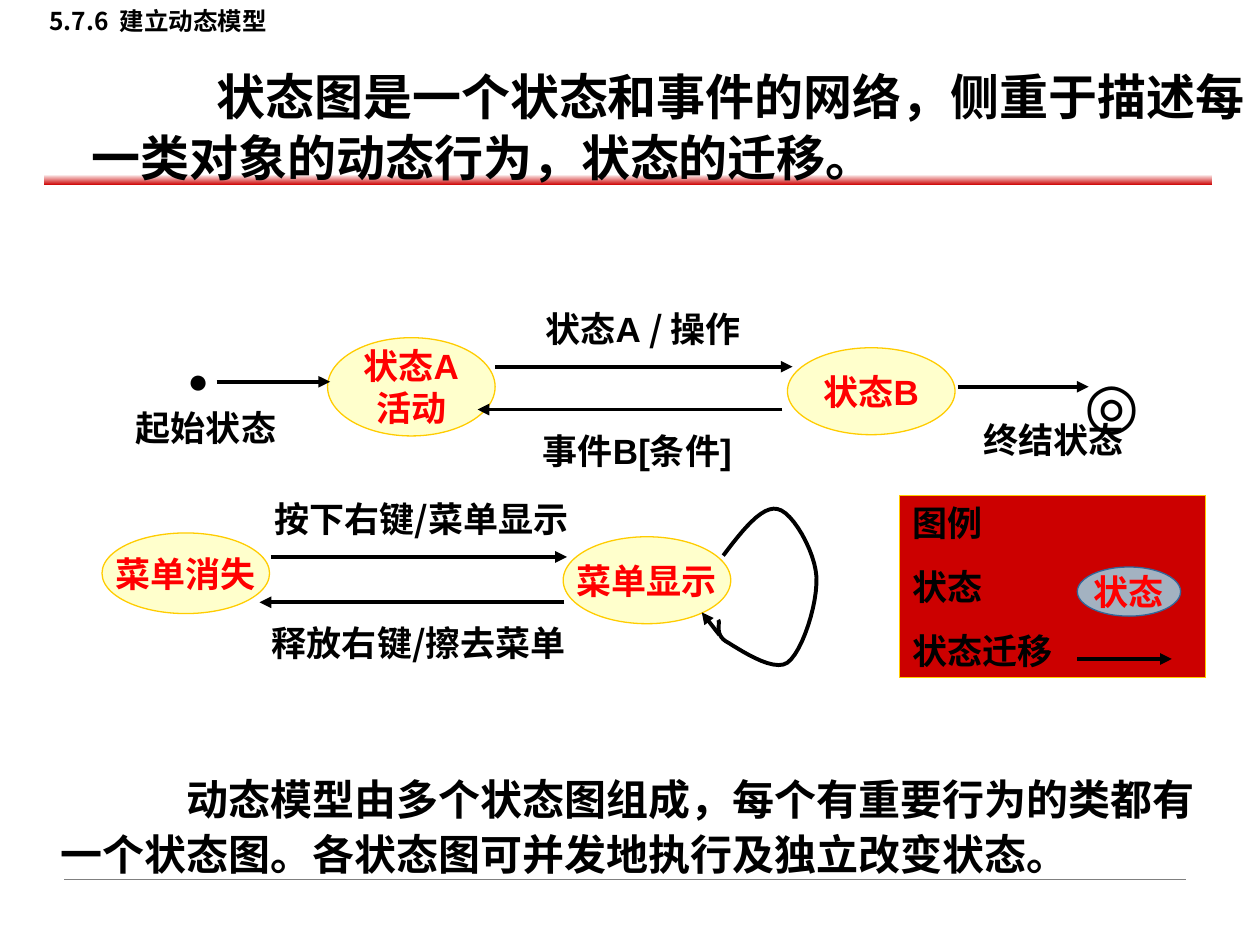
from lxml.etree import SubElement
from pptx import Presentation
from pptx.dml.color import RGBColor
from pptx.enum.shapes import MSO_CONNECTOR, MSO_SHAPE
from pptx.enum.text import MSO_ANCHOR, MSO_AUTO_SIZE, PP_ALIGN
from pptx.oxml.ns import qn
from pptx.util import Inches, Pt

THEME = {
    "latin": "Arial", "cjk": "Noto Sans CJK SC",
    "ink": "000000", "state_text": "FF0000",
    "state": "FFFFCC", "state_edge": "FFCC00",
    "sample": "A3B2C1", "sample_edge": "336699",
    "red": "CC0000", "pale": "FAE7E7", "rule": "808080",
    "title": 14, "label": 20, "closing": 24, "opening": 28, "symbol": 36,
    "edge": 0.75, "arrow": 2.25,
}
LATIN, CJK = THEME["latin"], THEME["cjk"]

TITLE = "5.7.6  建立动态模型"

# box, text, size, line spacing in points, first-line indent, top inset
STATEMENTS = [
    ((0.25, 0.36, 9.75, 1), "状态图是一个状态和事件的网络，侧重于描述每一类对象的动态行为，状态的迁移。",
     THEME["opening"], 35, 0.99, 0.15),
    ((0, 5.92, 9.83, 1.01),
     "动态模型由多个状态图组成，每个有重要行为的类都有一个状态图。各状态图可并发地执行及独立改变状态。",
     THEME["closing"], 31.4, 1, 0.18),
]
HANGING = 0.38

# box, lines
STATES = [
    ((2.6, 2.68, 1.33, 0.78), ["状态A", "活动"]),
    ((6.25, 2.76, 1.33, 0.69), ["状态B"]),
    ((0.81, 4.23, 1.33, 0.64), ["菜单消失"]),
    ((4.47, 4.26, 1.33, 0.69), ["菜单显示"]),
]
LEGEND = ((7.14, 3.93, 2.43, 1.45), ["图例", "状态", "状态迁移"])
LEGEND_STATE = ((8.55, 4.5, 0.82, 0.39), ["状态"])

# box, runs of (text, font), size, wraps
LABELS = [
    ((1.39, 2.8, 0.45, 0.44), [("●", LATIN)], THEME["label"], True),
    ((8.51, 2.84, 0.7, 0.7), [("◎", LATIN)], THEME["symbol"], True),
    ((4.23, 2.39, 1.91, 0.44), [("状态", CJK), ("A ", LATIN), ("/ 操作", CJK)], THEME["label"], False),
    ((4.21, 3.36, 2.09, 0.44), [("事件B[条件]", LATIN)], THEME["label"], True),
    ((0.98, 3.18, 1.31, 0.44), [("起始状态", LATIN)], THEME["label"], False),
    ((7.71, 3.27, 1.31, 0.44), [("终结状态", LATIN)], THEME["label"], False),
    ((2.08, 3.9, 2.67, 0.44), [("按下右键/", CJK), ("菜单显示", LATIN)], THEME["label"], False),
    ((2.06, 4.88, 2.66, 0.77), [("释放右键/擦去", CJK), ("菜单", LATIN)], THEME["label"], True),
]

TRANSITIONS = [
    (1.72, 3.03, 2.62, 3.03),
    (3.93, 2.91, 6.29, 2.91),
    (6.21, 3.25, 3.79, 3.25),
    (7.6, 3.07, 8.64, 3.07),
    (2.15, 4.42, 4.5, 4.42),
    (4.48, 4.78, 2.06, 4.78),
    (8.55, 5.23, 9.3, 5.23),
    (5.71, 5.04, 5.57, 4.86),
]
LOOP_START = (5.74, 4.41)
LOOP_CURVES = [
    ((5.89, 4.21), (6.05, 4.01), (6.17, 4.04)),
    ((6.29, 4.06), (6.47, 4.38), (6.48, 4.58)),
    ((6.49, 4.79), (6.37, 5.17), (6.25, 5.26)),
    ((6.13, 5.34), (5.85, 5.14), (5.76, 5.09)),
    ((5.67, 5.03), (5.72, 4.94), (5.7, 4.92)),
]
CURVE_STEPS = 12


def color(name):
    return RGBColor.from_string(THEME[name])


def inches(values):
    return [Inches(value) for value in values]


def assign(target, values):
    for name, value in values.items():
        setattr(target, name, value)


def add_span(para, text, size, font=LATIN, ink="ink"):
    span = para.add_run()
    span.text = text
    assign(span.font, {"name": font, "size": Pt(size), "bold": True})
    span.font.color.rgb = color(ink)


def add_lines(frame, lines, ink, **layout):
    """Write one paragraph per line, all with the same paragraph layout."""
    for number, line in enumerate(lines):
        para = frame.add_paragraph() if number else frame.paragraphs[0]
        assign(para, layout)
        add_span(para, line, THEME["label"], ink=ink)


def add_box(page, box, **frame_format):
    frame = page.shapes.add_textbox(*inches(box)).text_frame
    assign(frame, frame_format)
    return frame


def add_filled(page, kind, box, fill, edge=None):
    shape = page.shapes.add_shape(kind, *inches(box))
    shape.shadow.inherit = False
    shape.fill.solid()
    shape.fill.fore_color.rgb = color(fill)
    if edge:
        shape.line.color.rgb = color(edge)
        shape.line.width = Pt(THEME["edge"])
    else:
        shape.line.fill.background()
    return shape


def add_state(page, box, lines, fill="state", edge="state_edge"):
    frame = add_filled(page, MSO_SHAPE.OVAL, box, fill, edge).text_frame
    assign(frame, {"word_wrap": False, "vertical_anchor": MSO_ANCHOR.MIDDLE})
    add_lines(frame, lines, "state_text", alignment=PP_ALIGN.CENTER)


def add_line(page, ends, ink, width, arrow=False):
    connector = page.shapes.add_connector(MSO_CONNECTOR.STRAIGHT, *inches(ends))
    connector.line.color.rgb = color(ink)
    connector.line.width = Pt(width)
    if arrow:
        SubElement(connector.get_or_add_ln(), qn("a:tailEnd"), type="triangle")
    SubElement(connector._element.spPr, qn("a:effectLst"))


def curve_points(start, curves):
    """Points along a chain of cubic Bezier curves."""
    points = []
    for first, second, end in curves:
        corners = (start, first, second, end)
        for step in range(1, CURVE_STEPS + 1):
            t = step / CURVE_STEPS
            weights = ((1 - t) ** 3, 3 * t * (1 - t) ** 2, 3 * t * t * (1 - t), t ** 3)
            points.append([sum(w * c[axis] for w, c in zip(weights, corners)) for axis in (0, 1)])
        start = end
    return points


def add_loop(page):
    # Freeform vertices are rounded to whole units, so they are given in EMU.
    builder = page.shapes.build_freeform(*inches(LOOP_START))
    points = curve_points(LOOP_START, LOOP_CURVES)
    builder.add_line_segments([inches(point) for point in points], close=False)
    loop = builder.convert_to_shape()
    loop.shadow.inherit = False
    loop.fill.background()
    loop.line.color.rgb = color("ink")
    loop.line.width = Pt(THEME["arrow"])


def add_rules(page):
    band = add_filled(page, MSO_SHAPE.RECTANGLE, (0.35, 1.39, 9.27, 0.08), "red")
    band.fill.gradient()
    band.fill.gradient_angle = 90
    for stop, name, position in zip(band.fill.gradient_stops, ("red", "pale"), (0, 1)):
        stop.color.rgb = color(name)
        stop.position = position
    add_line(page, (0.51, 6.98, 9.41, 6.98), "rule", 0.25)


def add_title(page):
    title = page.shapes.title
    assign(title, dict(zip(("left", "top", "width", "height"), inches((0.29, 0, 2.1, 0.34)))))
    assign(title.text_frame, {"word_wrap": False, "vertical_anchor": MSO_ANCHOR.TOP,
                              "auto_size": MSO_AUTO_SIZE.SHAPE_TO_FIT_TEXT})
    para = title.text_frame.paragraphs[0]
    para.alignment = PP_ALIGN.LEFT
    add_span(para, TITLE, THEME["title"], CJK)


def add_statement(page, box, text, size, spacing, indent, top):
    para = add_box(page, box, word_wrap=True, margin_top=Inches(top)).paragraphs[0]
    para.line_spacing = Pt(spacing)
    layout = para._p.get_or_add_pPr()
    layout.set("marL", str(Inches(HANGING)))
    layout.set("indent", str(Inches(indent)))
    add_span(para, text, size)


def main():
    deck = Presentation()
    assign(deck, {"slide_width": Inches(10), "slide_height": Inches(7.5)})
    page = deck.slides.add_slide(deck.slide_layouts[5])
    add_rules(page)
    add_title(page)
    for statement in STATEMENTS:
        add_statement(page, *statement)
    for state in STATES:
        add_state(page, *state)
    legend_box, legend_lines = LEGEND
    legend = add_filled(page, MSO_SHAPE.RECTANGLE, legend_box, "red", "state_edge").text_frame
    assign(legend, {"word_wrap": True, "vertical_anchor": MSO_ANCHOR.TOP})
    add_lines(legend, legend_lines, "ink", alignment=PP_ALIGN.LEFT, space_before=Pt(12.5))
    add_state(page, *LEGEND_STATE, "sample", "sample_edge")
    for box, runs, size, wraps in LABELS:
        frame = add_box(page, box, word_wrap=wraps, auto_size=MSO_AUTO_SIZE.SHAPE_TO_FIT_TEXT)
        for text, font in runs:
            add_span(frame.paragraphs[0], text, size, font)
    for ends in TRANSITIONS:
        add_line(page, ends, "ink", THEME["arrow"], arrow=True)
    add_loop(page)
    deck.save("out.pptx")


if __name__ == "__main__":
    main()
